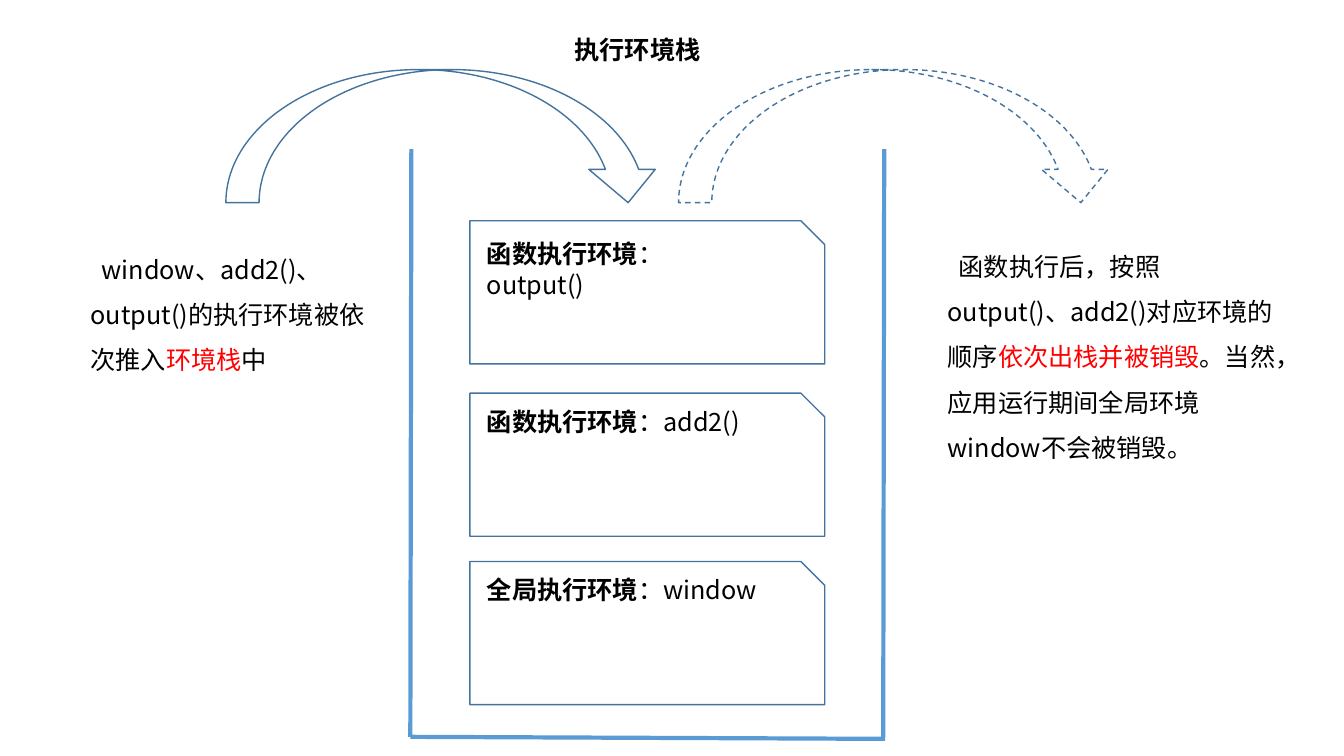
from dataclasses import dataclass

from lxml import etree
from pptx import Presentation
from pptx import util as u
from pptx.dml.color import RGBColor
from pptx.enum import dml, shapes
from pptx.oxml.ns import qn

BLACK = RGBColor(0x00, 0x00, 0x00)
RED = RGBColor(0xFF, 0x00, 0x00)
STACK_BLUE = RGBColor(0x5B, 0x9B, 0xD5)
OUTLINE_BLUE = RGBColor(0x43, 0x73, 0x9E)
FONT = "Noto Sans CJK SC"


@dataclass(frozen=True)
class Span:
    words: str
    color: RGBColor = BLACK
    bold: bool = False


@dataclass(frozen=True)
class Line:
    spans: tuple[Span, ...]
    indent: float = 0


@dataclass(frozen=True)
class Box:
    left: float
    top: float
    width: float
    height: float

    def lengths(self) -> tuple[u.Length, ...]:
        return tuple(u.Inches(n) for n in (self.left, self.top, self.width, self.height))


@dataclass(frozen=True)
class Frame:
    top: float
    label_top: float
    kind: str
    context: str


@dataclass(frozen=True)
class Note:
    box: Box
    lines: tuple[Line, ...]
    spacing: float = 1.0


def add_wall(slide, start: tuple[float, float], end: tuple[float, float]) -> None:
    points = [u.Inches(n) for n in (*start, *end)]
    wall = slide.shapes.add_connector(shapes.MSO_CONNECTOR.STRAIGHT, *points)
    wall.line.color.rgb = STACK_BLUE
    wall.line.width = u.Pt(3)
    etree.SubElement(wall._element.spPr, qn("a:effectLst"))


def add_outline(slide, kind: shapes.MSO_SHAPE, box: Box, dashed: bool = False) -> None:
    shape = slide.shapes.add_shape(kind, *box.lengths())
    shape.shadow.inherit = False
    shape.fill.background()
    shape.line.color.rgb = OUTLINE_BLUE
    shape.line.width = u.Pt(1)
    if dashed:
        shape.line.dash_style = dml.MSO_LINE.DASH


def add_note(slide, note: Note) -> None:
    text_frame = slide.shapes.add_textbox(*note.box.lengths()).text_frame
    text_frame.word_wrap = True
    for index, line in enumerate(note.lines):
        paragraph = text_frame.add_paragraph() if index else text_frame.paragraphs[0]
        paragraph.line_spacing = note.spacing
        paragraph._p.get_or_add_pPr().set("indent", str(u.Inches(line.indent)))
        for span in line.spans:
            run = paragraph.add_run()
            run.text = span.words
            run.font.size = u.Pt(18)
            run.font.bold = span.bold
            run.font.color.rgb = span.color
            run.font.name = FONT
            east_asian = etree.SubElement(run._r.get_or_add_rPr(), qn("a:ea"))
            east_asian.set("typeface", FONT)


WALLS = (
    ((4.08, 1.48), (4.07, 7.31)),
    ((4.07, 7.31), (8.78, 7.33)),
    ((8.77, 1.48), (8.76, 7.31)),
)
FRAMES = (
    Frame(5.57, 5.65, "全局执行环境", "window"),
    Frame(3.9, 3.98, "函数执行环境", "add2()"),
    Frame(2.19, 2.32, "函数执行环境", "output()"),
)
NOTES = (
    Note(
        Box(0.8, 2.32, 2.98, 1.46),
        (
            Line((Span("window、add2()、"),), indent=0.11),
            Line((
                Span("output()的执行环境被依次推入"),
                Span("环境栈", RED),
                Span("中"),
            )),
        ),
        spacing=1.5,
    ),
    Note(
        Box(9.3, 2.29, 3.52, 2.37),
        (
            Line(
                (
                    Span("函数执行后，按照output()、add2()对应环境的顺序"),
                    Span("依次出栈并被销毁", RED),
                    Span("。当然，应用运行期间全局环境window不会被销毁。"),
                ),
                indent=0.11,
            ),
        ),
        spacing=1.5,
    ),
    Note(Box(5.6, 0.29, 1.65, 0.4), (Line((Span("执行环境栈", bold=True),)),)),
)

presentation = Presentation()
presentation.slide_width = u.Inches(13.33)
presentation.slide_height = u.Inches(7.5)
slide = presentation.slides.add_slide(presentation.slide_layouts[6])

for start, end in WALLS:
    add_wall(slide, start, end)

for frame in FRAMES:
    add_outline(slide, shapes.MSO_SHAPE.SNIP_1_RECTANGLE, Box(4.66, frame.top, 3.52, 1.42))
    label = Line((Span(frame.kind, bold=True), Span(f"：{frame.context}")))
    add_note(slide, Note(Box(4.73, frame.label_top, 2.91, 0.4), (label,)))

for left, dashed in ((2.24, False), (6.73, True)):
    add_outline(slide, shapes.MSO_SHAPE.CURVED_DOWN_ARROW, Box(left, 0.69, 4.32, 1.32), dashed)

for note in NOTES:
    add_note(slide, note)

presentation.save("out.pptx")
